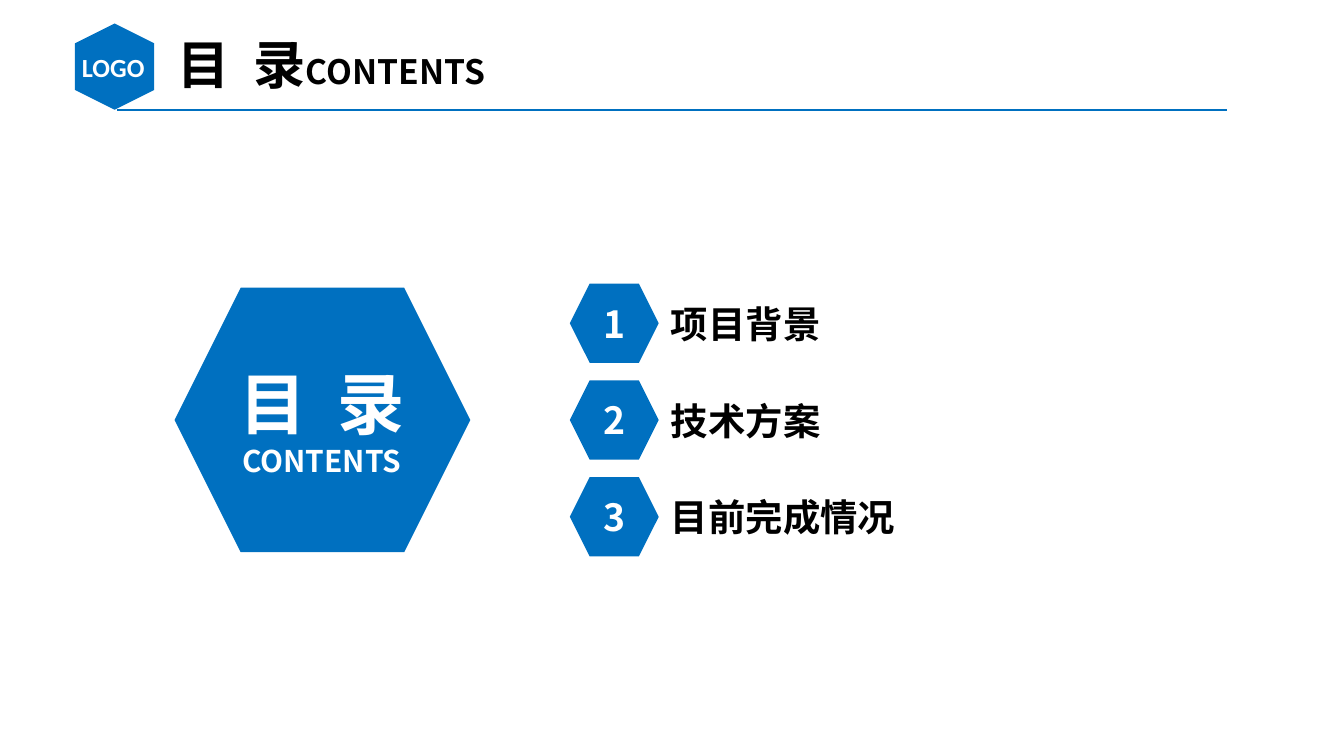
from lxml import etree
from pptx import Presentation
from pptx.dml.color import RGBColor
from pptx.enum import shapes, text
from pptx.oxml.ns import qn
from pptx.util import Cm, Pt

BLUE = RGBColor(0x00, 0x70, 0xC0)
WHITE = RGBColor(0xFF, 0xFF, 0xFF)
BLACK = RGBColor(0x00, 0x00, 0x00)
CJK = "Noto Sans CJK SC"

LOGO = "LOGO"
HEADING = "目  录"
SUBHEADING = "CONTENTS"
SECTIONS = [("项目背景", 3.68), ("技术方案", 3.68), ("目前完成情况", 9.3)]

ROW_TOP, ROW_STEP = 5.36, 1.83
BADGE_LEFT, BADGE_W, BADGE_H = 10.77, 1.68, 1.5
LABEL_LEFT, LABEL_DROP, LABEL_H = 12.55, 0.2, 1.24


def write(sp, paragraphs, color=BLACK, font=CJK, align=text.PP_ALIGN.LEFT,
          anchor=text.MSO_ANCHOR.TOP, wrap=True):
    tf = sp.text_frame
    tf.auto_size = text.MSO_AUTO_SIZE.NONE
    tf.word_wrap = wrap
    tf.vertical_anchor = anchor
    tf.margin_left = tf.margin_right = tf.margin_top = tf.margin_bottom = Cm(0.13)
    for i, runs in enumerate(paragraphs):
        p = tf.add_paragraph() if i else tf.paragraphs[0]
        p.alignment = align
        for words, size in runs:
            r = p.add_run()
            r.text = words
            r.font.name = font
            r.font.size = Pt(size)
            r.font.bold = True
            r.font.color.rgb = color
            latin = r.font._element.find(qn("a:latin"))
            ea = etree.Element(qn("a:ea"), typeface=font)
            latin.addnext(ea)


def add_text(s, box, paragraphs, **fmt):
    sp = s.shapes.add_textbox(*map(Cm, box))
    write(sp, paragraphs, **fmt)


def add_hexagon(s, box, rotation=0):
    sp = s.shapes.add_shape(shapes.MSO_SHAPE.HEXAGON, *map(Cm, box))
    sp.rotation = rotation
    sp.shadow.inherit = False
    sp.fill.solid()
    sp.fill.fore_color.rgb = BLUE
    sp.line.fill.background()
    return sp


def add_rule(s, left, right, y):
    line = s.shapes.add_connector(shapes.MSO_CONNECTOR.STRAIGHT,
                                  Cm(left), Cm(y), Cm(right), Cm(y))
    line.line.color.rgb = BLUE
    line.line.width = Pt(0.75)
    etree.SubElement(line._element.spPr, qn("a:effectLst"))


def main():
    prs = Presentation()
    prs.slide_width, prs.slide_height = Cm(25.4), Cm(14.29)
    s = prs.slides.add_slide(prs.slide_layouts[5])
    center = text.PP_ALIGN.CENTER

    add_rule(s, 2.21, 23.19, 2.08)
    add_hexagon(s, (1.35, 0.51, 1.63, 1.5), rotation=90)
    add_text(s, (1.24, 0.84, 1.8, 0.81), [[(LOGO, 14)]],
             color=WHITE, font="Calibri", align=center)

    title = s.shapes.title
    title.left, title.top, title.width, title.height = map(Cm, (3.23, 0.48, 7.29, 1.68))
    write(title, [[(HEADING, 28), (SUBHEADING, 18)]])

    add_hexagon(s, (3.3, 5.44, 5.59, 5))
    add_text(s, (3.89, 6.71, 4.39, 2.69), [[(HEADING, 36)], [(SUBHEADING, 16)]],
             color=WHITE, align=center)

    for i, (label, width) in enumerate(SECTIONS):
        top = ROW_TOP + i * ROW_STEP
        badge = add_hexagon(s, (BADGE_LEFT, top, BADGE_W, BADGE_H))
        write(badge, [[(str(i + 1), 20)]], color=WHITE, align=center,
              anchor=text.MSO_ANCHOR.MIDDLE, wrap=False)
        add_text(s, (LABEL_LEFT, top + LABEL_DROP, width, LABEL_H), [[(label, 20)]])

    prs.save("out.pptx")


if __name__ == "__main__":
    main()
